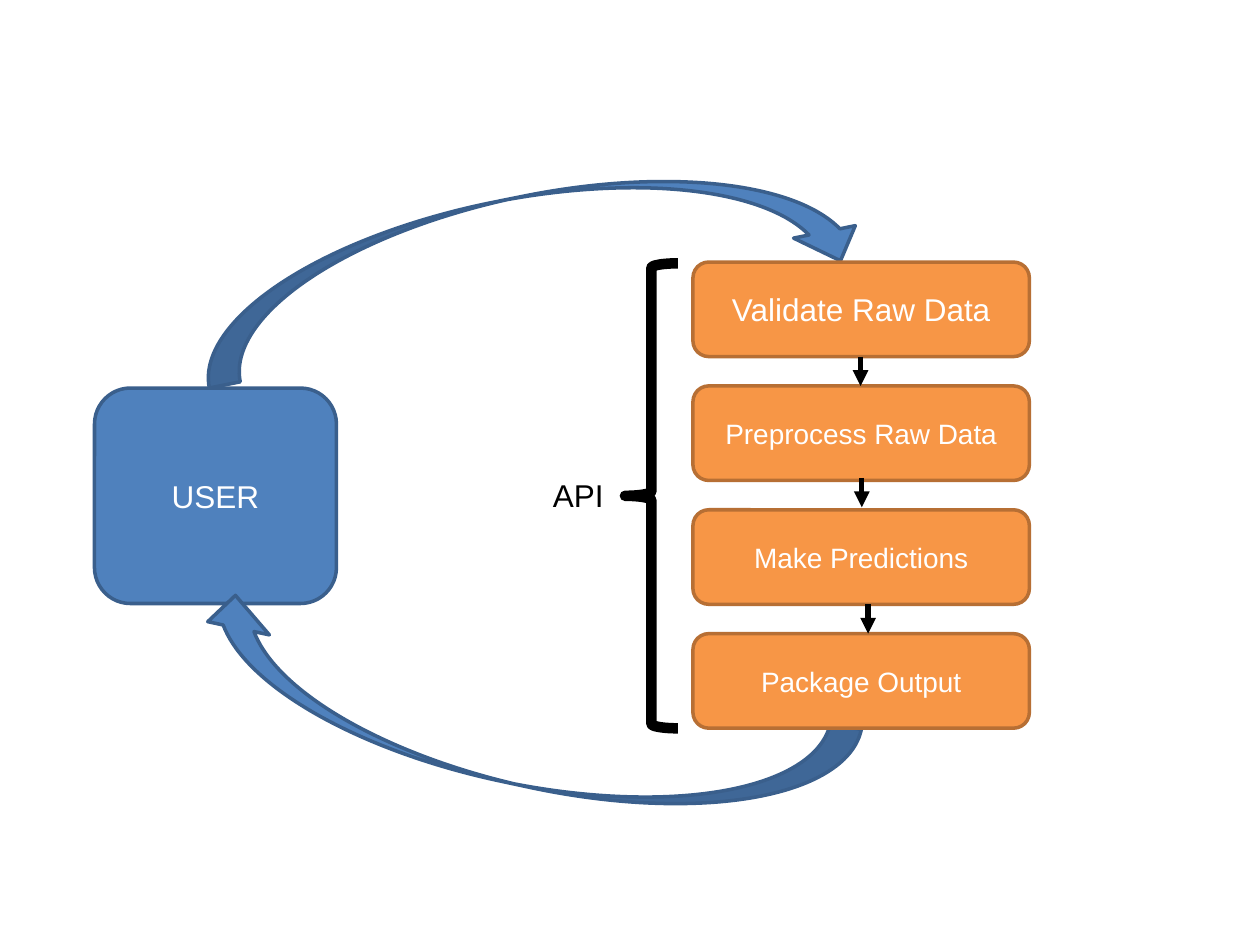
from lxml.etree import SubElement
from pptx import Presentation
from pptx.dml.color import RGBColor
from pptx.enum.shapes import MSO_CONNECTOR, MSO_SHAPE as SHAPE
from pptx.enum.text import MSO_ANCHOR, MSO_AUTO_SIZE, PP_ALIGN
from pptx.oxml.ns import qn
from pptx.util import Inches, Pt

BLUE, BLUE_EDGE = RGBColor(0x4F, 0x81, 0xBD), RGBColor(0x3A, 0x5F, 0x8C)
ORANGE, ORANGE_EDGE = RGBColor(0xF7, 0x96, 0x46), RGBColor(0xB7, 0x6F, 0x34)
BLACK, WHITE = RGBColor(0, 0, 0), RGBColor(255, 255, 255)

# API steps: label, text size
STEPS = [
    ("Validate Raw Data", 18),
    ("Preprocess Raw Data", 16),
    ("Make Predictions", 16),
    ("Package Output", 16),
]
STEP_LEFT, STEP_TOP, STEP_WIDTH, STEP_HEIGHT = 5.5, 2.08, 2.67, 0.75
PITCH = 0.983
# Links between steps: centre x, shift down from the step's lower edge
LINKS = [(6.83, 0), (6.84, -0.02), (6.89, 0)]

REQUEST = (1.51, 1.56, 5.36, 1), 348.6
RESPONSE = (1.46, 5.22, 5.33, 1), 192.1
USER_BOX = (0.75, 3.08, 1.92, 1.71)
BRACE_BOX = (4.96, 2.09, 0.42, 3.69)
API_BOX = (4.29, 3.73, 0.61, 0.4)

prs = Presentation()
prs.slide_width, prs.slide_height = Inches(10), Inches(7.5)
slide = prs.slides.add_slide(prs.slide_layouts[6])


def write(frame, words, size, color, align):
    """Put one line of text into a text frame."""
    paragraph = frame.paragraphs[0]
    paragraph.alignment = align
    run = paragraph.add_run()
    run.text = words
    run.font.name, run.font.size = "Arial", Pt(size)
    run.font.color.rgb = color


def add_outline(kind, box, edge, width, fill=None, rotation=0):
    """Add a preset shape with its line and optional fill."""
    shape = slide.shapes.add_shape(kind, *map(Inches, box))
    shape.shadow.inherit = False
    shape.rotation = rotation
    if fill is None:
        shape.fill.background()
    else:
        shape.fill.solid()
        shape.fill.fore_color.rgb = fill
    shape.line.color.rgb, shape.line.width = edge, Pt(width)
    return shape


def add_box(box, words, size, fill, edge):
    """Add a rounded box with a centred white label."""
    shape = add_outline(SHAPE.ROUNDED_RECTANGLE, box, edge, 2, fill)
    shape.text_frame.vertical_anchor = MSO_ANCHOR.MIDDLE
    write(shape.text_frame, words, size, WHITE, PP_ALIGN.CENTER)


def add_curve(box, rotation):
    """Add a curved arrow between the user and the API."""
    add_outline(SHAPE.CURVED_DOWN_ARROW, box, BLUE_EDGE, 2, BLUE, rotation)


def add_link(x, top, bottom):
    """Add a short black arrow pointing down."""
    link = slide.shapes.add_connector(
        MSO_CONNECTOR.STRAIGHT, *map(Inches, (x, top, x, bottom)))
    link.line.color.rgb, link.line.width = BLACK, Pt(3)
    SubElement(link.line._get_or_add_ln(), qn("a:tailEnd"), type="triangle")
    SubElement(link._element.spPr, qn("a:effectLst"))


add_curve(*REQUEST)
add_box(USER_BOX, "USER", 18, BLUE, BLUE_EDGE)
add_curve(*RESPONSE)

for row, (label, size) in enumerate(STEPS):
    add_box((STEP_LEFT, STEP_TOP + row * PITCH, STEP_WIDTH, STEP_HEIGHT),
            label, size, ORANGE, ORANGE_EDGE)

add_outline(SHAPE.LEFT_BRACE, BRACE_BOX, BLACK, 6)
api = slide.shapes.add_textbox(*map(Inches, API_BOX)).text_frame
api.word_wrap = False
api.auto_size = MSO_AUTO_SIZE.SHAPE_TO_FIT_TEXT
write(api, "API", 18, BLACK, PP_ALIGN.LEFT)

for row, (x, shift) in enumerate(LINKS):
    top = STEP_TOP + row * PITCH + STEP_HEIGHT + shift
    add_link(x, top, top + PITCH - STEP_HEIGHT)

prs.save("out.pptx")
